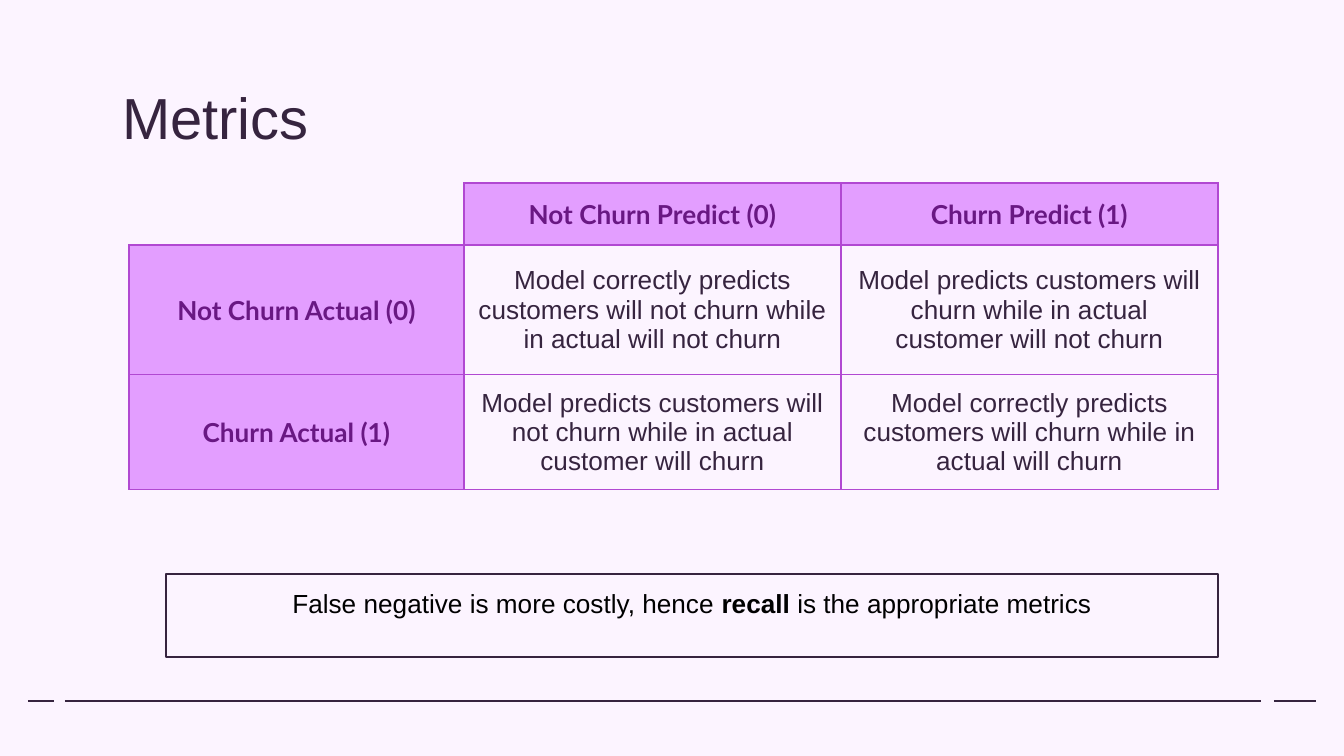
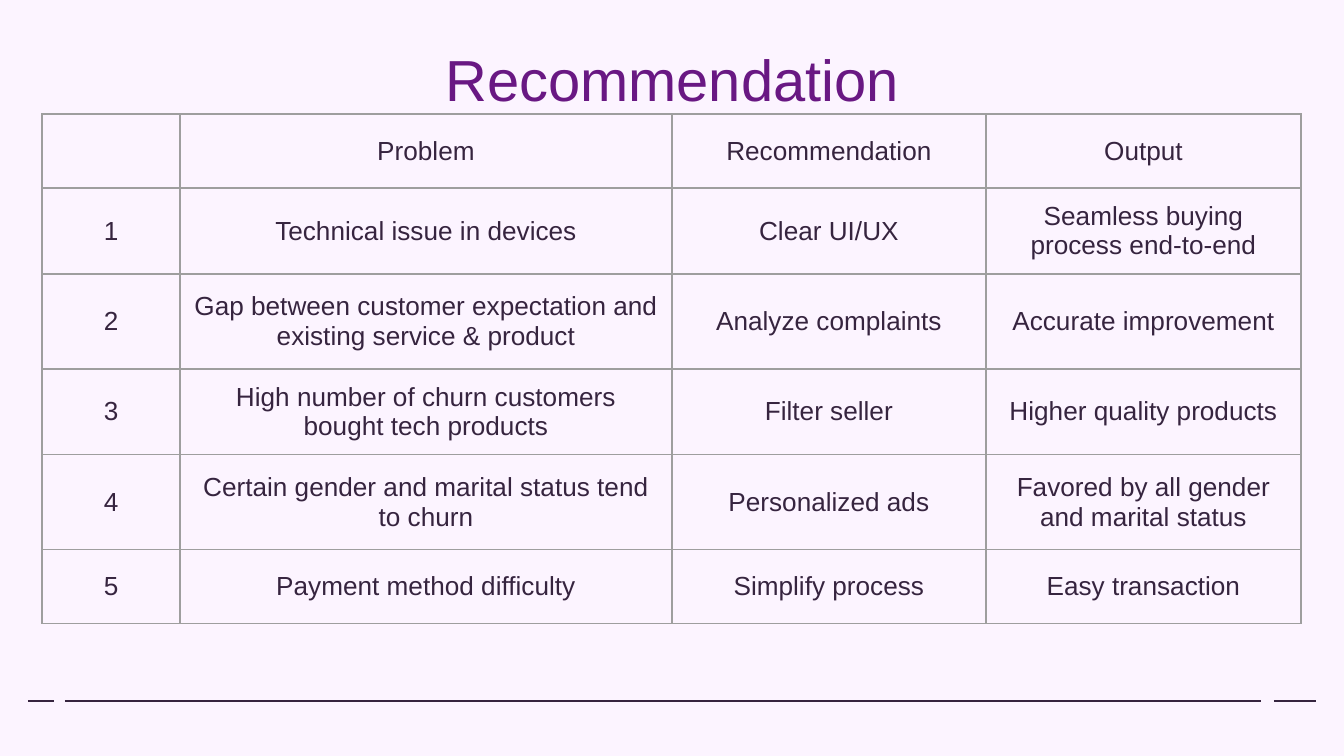
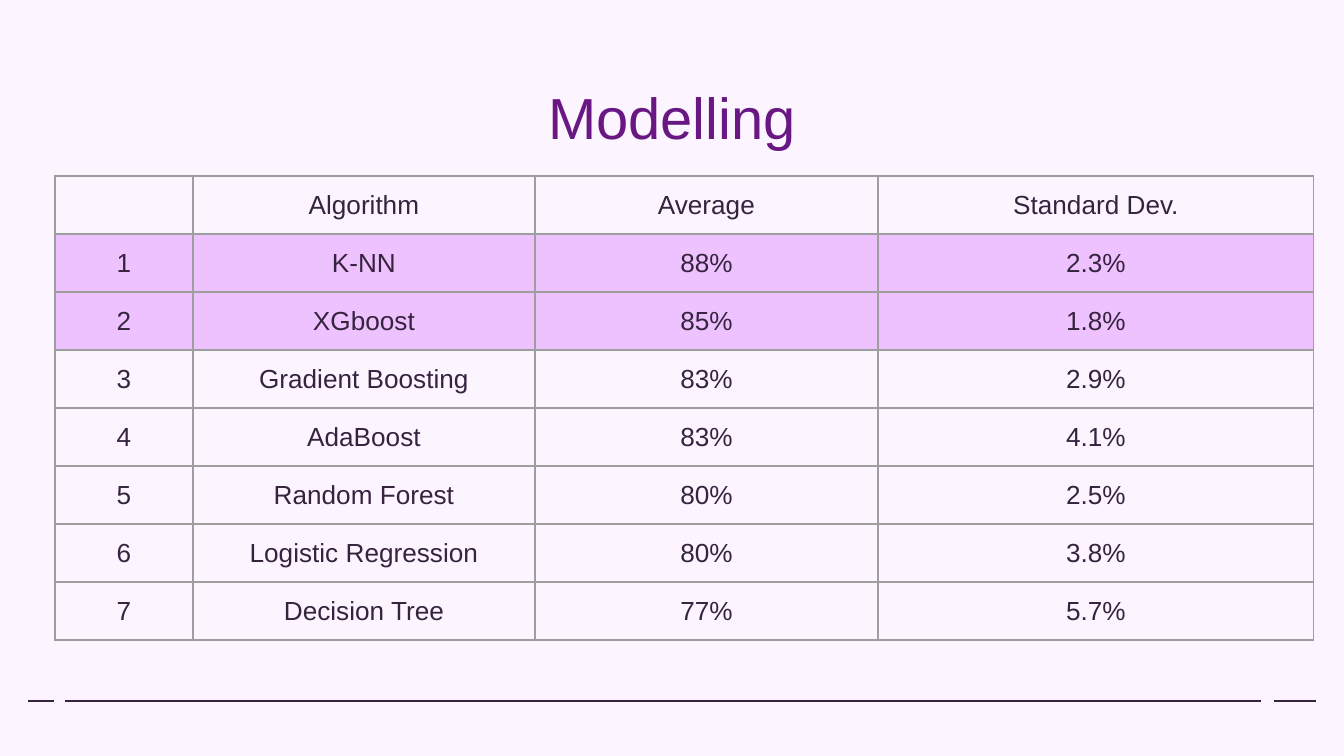
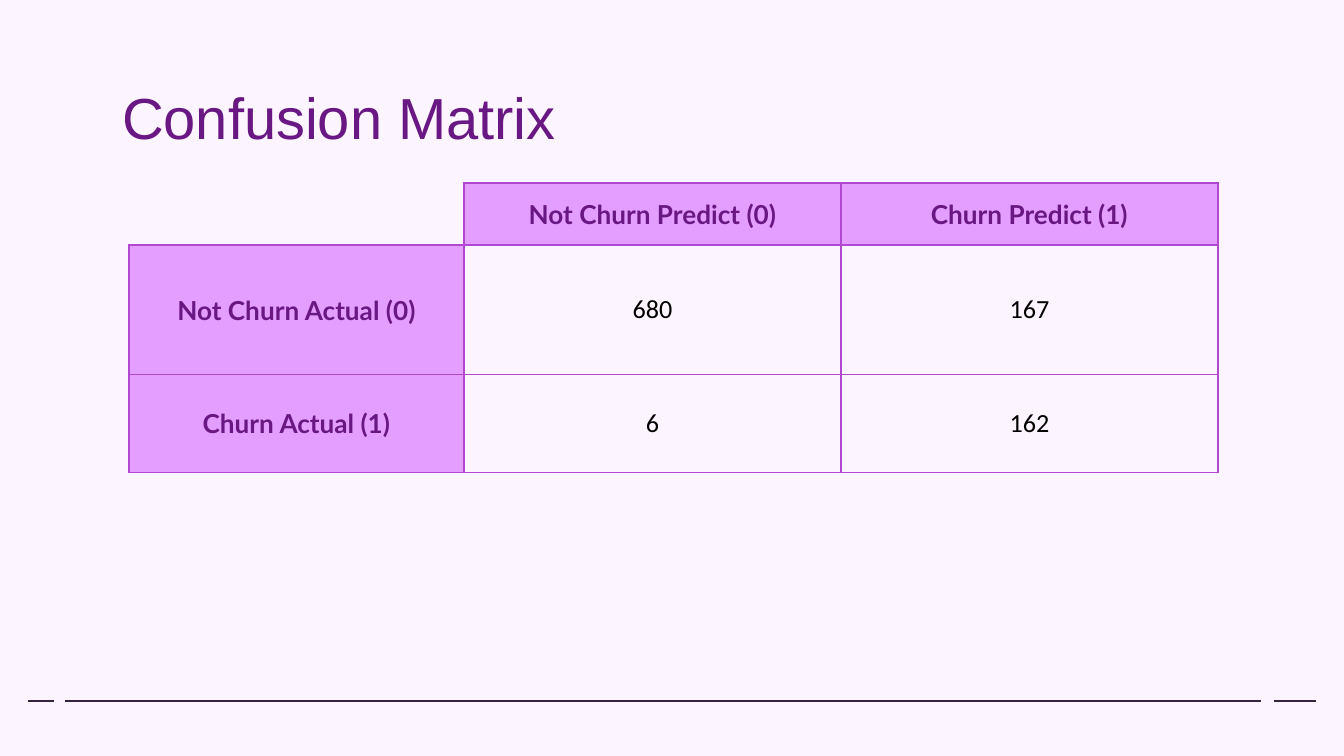
import pptx
import pptx.dml.color
import pptx.enum.shapes
import pptx.enum.text
import pptx.oxml
import pptx.oxml.ns
import pptx.util

RGB = pptx.dml.color.RGBColor
PALE = RGB(0xFC, 0xF4, 0xFF)
DARK = RGB(0x36, 0x24, 0x3F)
PLUM = RGB(0x69, 0x18, 0x83)
ORCHID = RGB(0xB1, 0x48, 0xD2)
LILAC = RGB(0xE3, 0x9E, 0xFF)
MAUVE = RGB(0xEE, 0xC2, 0xFF)
GREY = RGB(0x9E, 0x9E, 0x9E)
BLACK = RGB(0, 0, 0)

SCALE = 914400 / 134.4
WIDTH, HEIGHT = 1344, 756
INSET = 13
NO_STYLE = "{2D5ABB26-0587-4C30-8999-92F81FD0307C}"
LEFT = pptx.enum.text.PP_ALIGN.LEFT
CENTER = pptx.enum.text.PP_ALIGN.CENTER
TOP = pptx.enum.text.MSO_ANCHOR.TOP
MIDDLE = pptx.enum.text.MSO_ANCHOR.MIDDLE

PREDICT = ["Not Churn Predict (0)", "Churn Predict (1)"]
ACTUAL = ["Not Churn Actual (0)", "Churn Actual (1)"]
MEANING = [
    ["Model correctly predicts customers will not churn while in actual will not churn",
     "Model predicts customers will churn while in actual customer will not churn"],
    ["Model predicts customers will not churn while in actual customer will churn",
     "Model correctly predicts customers will churn while in actual will churn"],
]
COUNTS = [["680", "167"], ["6", "162"]]
ADVICE = [
    ["Problem", "Recommendation", "Output"],
    ["Technical issue in devices", "Clear UI/UX", "Seamless buying process end-to-end"],
    ["Gap between customer expectation and existing service & product",
     "Analyze complaints", "Accurate improvement"],
    ["High number of churn customers bought tech products",
     "Filter seller", "Higher quality products"],
    ["Certain gender and marital status tend to churn",
     "Personalized ads", "Favored by all gender and marital status"],
    ["Payment method difficulty", "Simplify process", "Easy transaction"],
]
SCORES = [
    ["Algorithm", "Average", "Standard Dev."],
    ["K-NN", "88%", "2.3%"],
    ["XGboost", "85%", "1.8%"],
    ["Gradient Boosting", "83%", "2.9%"],
    ["AdaBoost", "83%", "4.1%"],
    ["Random Forest", "80%", "2.5%"],
    ["Logistic Regression", "80%", "3.8%"],
    ["Decision Tree", "77%", "5.7%"],
]


def px(count):
    return pptx.util.Emu(round(count * SCALE))


def style(para, size, color, align=CENTER, name="Arial", bold=False):
    para.alignment = align
    para.font.size = pptx.util.Pt(size)
    para.font.name = name
    para.font.bold = bold
    para.font.color.rgb = color


def pad(item, inset=INSET):
    """Give a cell or text frame the same margin on all sides."""
    item.margin_left = item.margin_right = px(inset)
    item.margin_top = item.margin_bottom = px(inset)


def add_base(slide, layout):
    """Draw the footer dashes and move them to the layout all slides share."""
    for start, end in [(28, 54), (65, 1261), (1274, 1316)]:
        line = slide.shapes.add_connector(
            pptx.enum.shapes.MSO_CONNECTOR.STRAIGHT, px(start), px(701), px(end), px(701))
        line.line.color.rgb = DARK
        line.line.width = pptx.util.Pt(1.5)
        props = line.element.find(pptx.oxml.ns.qn("p:spPr"))
        props.append(pptx.oxml.parse_xml(
            f"<a:effectLst {pptx.oxml.ns.nsdecls('a')}/>"))
        layout.shapes.element.append(line.element)


def add_title(slide, text, color=PLUM, align=CENTER, top=69):
    title = slide.shapes.title
    title.left, title.top, title.width, title.height = px(109), px(top), px(1126), px(83)
    frame = title.text_frame
    frame.text = text
    frame.word_wrap = True
    frame.auto_size = pptx.enum.text.MSO_AUTO_SIZE.NONE
    frame.vertical_anchor = TOP
    pad(frame)
    style(frame.paragraphs[0], 31, color, align)


def edge(cell, color, sides="LRTB"):
    """Add cell borders; call before setting the cell's fill."""
    props = cell._tc.get_or_add_tcPr()
    for side in sides:
        props.append(pptx.oxml.parse_xml(
            f'<a:ln{side} {pptx.oxml.ns.nsdecls("a")} w="9525"><a:solidFill>'
            f'<a:srgbClr val="{color}"/></a:solidFill></a:ln{side}>'))


def add_grid(slide, left, top, widths, heights):
    """Add a plain table with the given column widths and row heights."""
    frame = slide.shapes.add_table(
        len(heights), len(widths), px(left), px(top), px(sum(widths)), px(sum(heights)))
    frame.element.xpath(".//a:tableStyleId")[0].text = NO_STYLE
    table = frame.table
    table.first_row = table.horz_banding = False
    for column, width in zip(table.columns, widths):
        column.width = px(width)
    for row, height in zip(table.rows, heights):
        row.height = px(height)
    return table


def fill_cell(cell, text, line, fill=None, sides="LRTB", inset=INSET, color=DARK, **font):
    edge(cell, line, sides)
    if fill is None:
        cell.fill.background()
    else:
        cell.fill.solid()
        cell.fill.fore_color.rgb = fill
    cell.text = text
    cell.vertical_anchor = MIDDLE
    pad(cell, inset)
    style(cell.text_frame.paragraphs[0], 14, color, **font)


def add_list(slide, left, top, widths, heights, rows, marked=()):
    """Add a table with numbered rows below its header; marked rows are tinted."""
    table = add_grid(slide, left, top, widths, heights)
    for r, row in enumerate(rows):
        for c, text in enumerate([str(r) if r else "", *row]):
            fill_cell(table.cell(r, c), text, GREY, MAUVE if r in marked else None)


def add_matrix(slide, values, last, **look):
    """Add a predicted/actual matrix whose last row is `last` px high."""
    table = add_grid(slide, 129, 183, [335, 377, 377], [62, 130, last])
    fill_cell(table.cell(0, 0), "", ORCHID, sides="RB")
    head = dict(line=ORCHID, fill=LILAC, color=PLUM, name="Lato", bold=True)
    for i in range(2):
        fill_cell(table.cell(0, i + 1), PREDICT[i], **head)
        fill_cell(table.cell(i + 1, 0), ACTUAL[i], **head)
        for j in range(2):
            fill_cell(table.cell(i + 1, j + 1), values[i][j], ORCHID, **look)


def add_note(slide, parts):
    """Add the outlined box; every second part of its text is bold."""
    box = slide.shapes.add_shape(
        pptx.enum.shapes.MSO_SHAPE.RECTANGLE, px(166), px(574), px(1052), px(83))
    box.shadow.inherit = False
    box.fill.background()
    box.line.color.rgb = DARK
    box.line.width = pptx.util.Pt(1)
    frame = box.text_frame
    frame.word_wrap = True
    frame.vertical_anchor = TOP
    pad(frame)
    para = frame.paragraphs[0]
    style(para, 14, BLACK)
    for i, part in enumerate(parts):
        run = para.add_run()
        run.text = part
        run.font.bold = i % 2 == 1


def main():
    deck = pptx.Presentation()
    deck.slide_width, deck.slide_height = px(WIDTH), px(HEIGHT)
    back = deck.slide_master.background.fill
    back.solid()
    back.fore_color.rgb = PALE
    layout = deck.slide_layouts.get_by_name("Title Only")
    for holder in list(layout.placeholders)[1:]:
        holder.element.getparent().remove(holder.element)
    metrics, advice, models, matrix = [deck.slides.add_slide(layout) for _ in range(4)]
    add_base(metrics, layout)

    add_title(metrics, "Metrics", DARK, LEFT)
    add_matrix(metrics, MEANING, 115)
    add_note(metrics, ["False negative is more costly, hence ", "recall",
                       " is the appropriate metrics"])

    add_title(advice, "Recommendation", top=31)
    add_list(advice, 42, 114, [138, 492, 314, 315], [74, 86, 95, 86, 95, 74], ADVICE)

    add_title(models, "Modelling")
    add_list(models, 55, 176, [138, 342, 343, 436], [58] * len(SCORES), SCORES, (1, 2))

    add_title(matrix, "Confusion Matrix", align=LEFT)
    add_matrix(matrix, COUNTS, 98, inset=1, color=BLACK, name="Calibri")

    deck.save("out.pptx")


if __name__ == "__main__":
    main()
